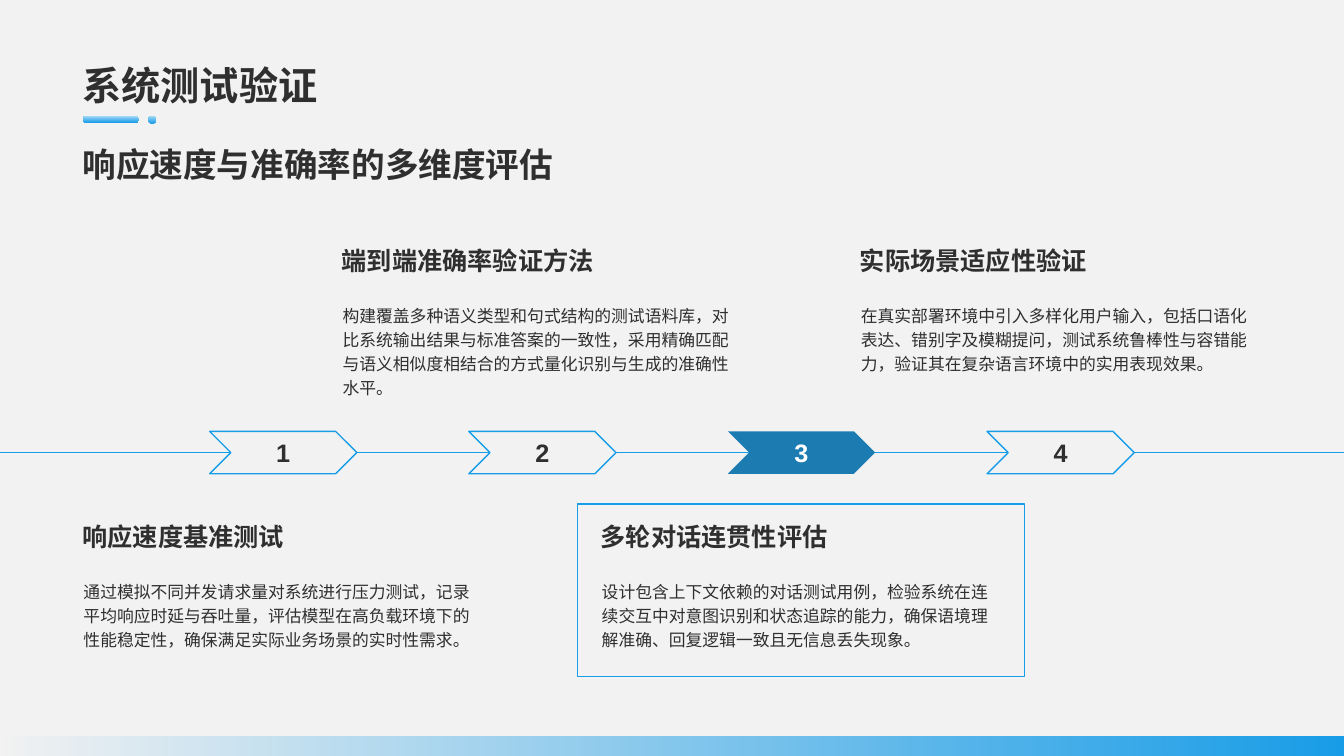
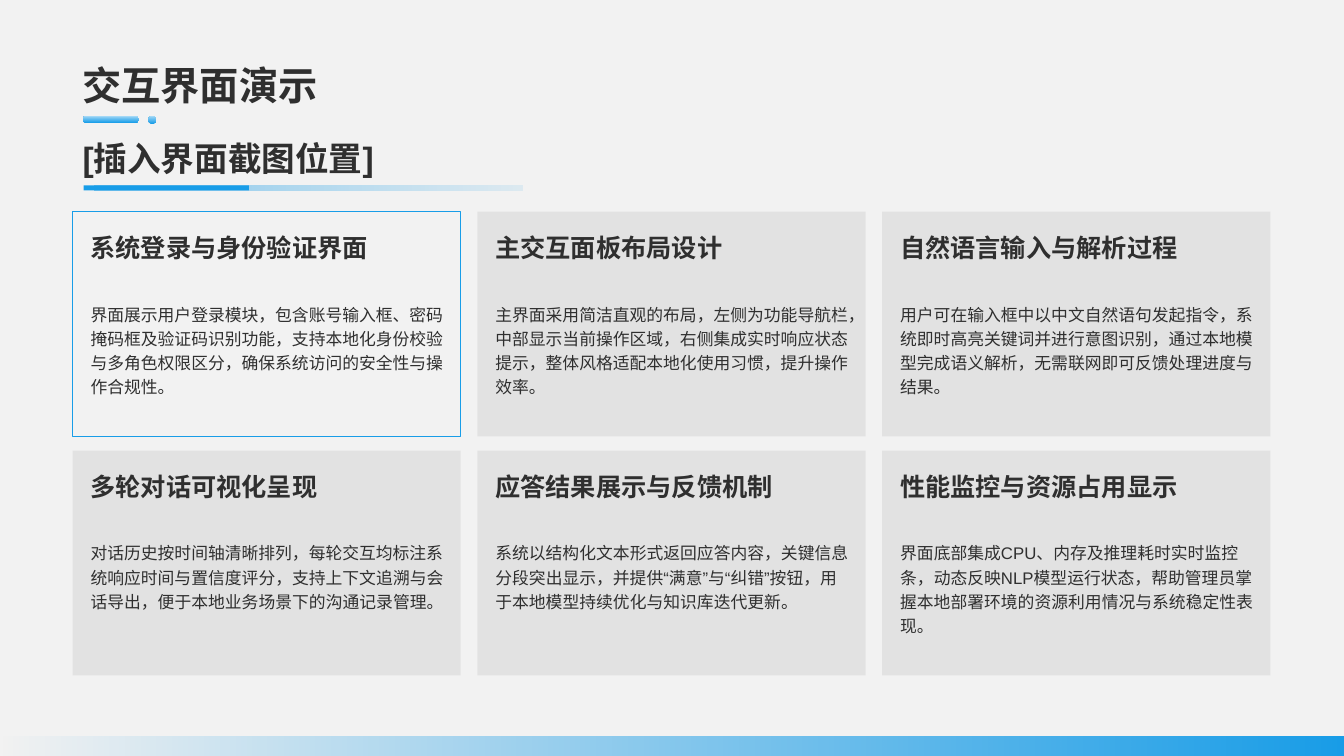
from lxml.etree import SubElement
from pptx import Presentation
from pptx.dml.color import RGBColor
from pptx.enum.lang import MSO_LANGUAGE_ID
from pptx.enum.shapes import MSO_CONNECTOR, MSO_SHAPE
from pptx.enum.text import MSO_ANCHOR, PP_ALIGN
from pptx.oxml.ns import qn
from pptx.util import Inches, Pt

THEME = {
    "font": "Arial",
    "paper": RGBColor.from_string("F2F2F2"),
    "ink": RGBColor.from_string("2F2F2F"),
    "white": RGBColor.from_string("FFFFFF"),
    "blue": RGBColor.from_string("189DE8"),
    "pale": RGBColor.from_string("A3D8F6"),
    "deep": RGBColor.from_string("1176AF"),
    "line": Pt(1),
    "title": {"size": Pt(28), "bold": True},
    "subtitle": {"size": Pt(24), "bold": True},
    "heading": {"size": Pt(18), "bold": True},
    "body": {"size": Pt(12), "bold": False},
}
BLUE = THEME["blue"]


def add_panel(page, kind, bounds, stops=(), angle=0, outline=False):
    panel = page.shapes.add_shape(kind, *map(Inches, bounds))
    panel.shadow.inherit = False
    if not stops:
        panel.fill.background()
    elif len(stops) == 1:
        panel.fill.solid()
        panel.fill.fore_color.rgb = stops[0][1]
    else:
        panel.fill.gradient()
        panel.fill.gradient_angle = angle
        for stop, (position, color, _) in zip(panel.fill.gradient_stops, stops):
            stop.position = position
            stop.color.rgb = color
    for color, (_, _, opacity) in zip(panel._element.spPr.iter(qn("a:srgbClr")), stops):
        if opacity < 100:
            SubElement(color, qn("a:alpha")).set("val", str(opacity * 1000))
    if outline:
        panel.line.color.rgb = BLUE
        panel.line.width = THEME["line"]
    else:
        panel.line.fill.background()
    return panel


def write(box, text, style, color=THEME["ink"], anchor=MSO_ANCHOR.TOP,
          align=PP_ALIGN.LEFT, spacing=1.0):
    frame = box.text_frame
    frame.word_wrap = True
    frame.vertical_anchor = anchor
    para = frame.paragraphs[0]
    para.alignment = align
    para.line_spacing = spacing
    para._p.get_or_add_pPr().set("hangingPunct", "1")
    span = para.add_run()
    span.text = text
    values = {"name": THEME["font"], "language_id": MSO_LANGUAGE_ID.SIMPLIFIED_CHINESE}
    for name, value in {**values, **THEME[style]}.items():
        setattr(span.font, name, value)
    span.font.color.rgb = color
    SubElement(span._r.get_or_add_rPr(), qn("a:ea")).set("typeface", THEME["font"])


deck = Presentation()
deck.slide_width = Inches(13.33)
deck.slide_height = Inches(7.5)

accent = [(0.02, BLUE, 100), (1, THEME["pale"], 100)]
pages = []
for title, subtitle, subtitle_height in [
    ("系统测试验证", "响应速度与准确率的多维度评估", 0.78),
    ("交互界面演示", "[插入界面截图位置]", 0.66),
]:
    page = deck.slides.add_slide(deck.slide_layouts[6])
    page.background.fill.solid()
    page.background.fill.fore_color.rgb = THEME["paper"]
    dash = add_panel(page, MSO_SHAPE.ROUNDED_RECTANGLE, (0.82, 1.15, 0.56, 0.07), accent, 90)
    dash.adjustments[0] = 0.5
    add_panel(page, MSO_SHAPE.OVAL, (1.47, 1.15, 0.08, 0.08), accent, 90)
    add_panel(page, MSO_SHAPE.RECTANGLE, (-0.04, 7.31, 13.38, 0.19),
              [(0, BLUE, 0), (1, BLUE, 100)])
    for text, style, top, height, anchor in [
        (title, "title", 0.14, 0.98, MSO_ANCHOR.BOTTOM),
        (subtitle, "subtitle", 1.24, subtitle_height, MSO_ANCHOR.MIDDLE),
    ]:
        box = page.shapes.add_textbox(*map(Inches, (0.72, top, 11.88, height)))
        write(box, text, style, anchor=anchor)
    pages.append(page)
timeline_page, cards_page = pages

steps = [
    ("响应速度基准测试",
     "通过模拟不同并发请求量对系统进行压力测试，记录平均响应时延与吞吐量，评估模型在高负载环境下的性能稳定性，确保满足实际业务场景的实时性需求。"),
    ("端到端准确率验证方法",
     "构建覆盖多种语义类型和句式结构的测试语料库，对比系统输出结果与标准答案的一致性，采用精确匹配与语义相似度相结合的方式量化识别与生成的准确性水平。"),
    ("多轮对话连贯性评估",
     "设计包含上下文依赖的对话测试用例，检验系统在连续交互中对意图识别和状态追踪的能力，确保语境理解准确、回复逻辑一致且无信息丢失现象。"),
    ("实际场景适应性验证",
     "在真实部署环境中引入多样化用户输入，包括口语化表达、错别字及模糊提问，测试系统鲁棒性与容错能力，验证其在复杂语言环境中的实用表现效果。"),
]
step_pitch, chevron_left, chevron_top = 2.57, 2.08, 4.28
chevron_width, chevron_height = 1.46, 0.42
axis = chevron_top + chevron_height / 2
active_step = 2

add_panel(timeline_page, MSO_SHAPE.RECTANGLE, (5.73, 5, 4.43, 1.71), outline=True)
chevrons = []
for index, (heading, body) in enumerate(steps):
    active = index == active_step
    chevron = add_panel(
        timeline_page, MSO_SHAPE.CHEVRON,
        (chevron_left + index * step_pitch, chevron_top, chevron_width, chevron_height),
        [(0, THEME["deep"], 95)] if active else (), outline=not active)
    write(chevron, str(index + 1), "heading", THEME["white" if active else "ink"],
          MSO_ANCHOR.MIDDLE, PP_ALIGN.CENTER)
    chevrons.append(chevron)
    left = 0.72 + index * step_pitch
    top = 2.32 if index % 2 else 5.06
    for text, style, bounds in [
        (heading, "heading", (left, top, 4.16, 0.62)),
        (body, "body", (left + 0.01, top + 0.62, 4.16, 0.97)),
    ]:
        box = timeline_page.shapes.add_textbox(*map(Inches, bounds))
        write(box, text, style, spacing=1.2)

notches = [chevron.left + Inches(chevron_height / 2) for chevron in chevrons]
for source, end in zip([None, *chevrons], [*notches, deck.slide_width]):
    start = source.left + source.width if source else 0
    link = timeline_page.shapes.add_connector(
        MSO_CONNECTOR.STRAIGHT, start, Inches(axis), end, Inches(axis))
    if source:
        link.begin_connect(source, 3)
    link.line.color.rgb = BLUE
    link.line.width = THEME["line"]
    SubElement(link._element.spPr, qn("a:effectLst"))

add_panel(cards_page, MSO_SHAPE.RECTANGLE, (0.94, 1.84, 4.24, 0.05),
          [(0, BLUE, 50), (1, BLUE, 10)])
add_panel(cards_page, MSO_SHAPE.RECTANGLE, (0.83, 1.84, 1.64, 0.05), [(0, BLUE, 100)])

cards = [
    ("系统登录与身份验证界面",
     "界面展示用户登录模块，包含账号输入框、密码掩码框及验证码识别功能，支持本地化身份校验与多角色权限区分，确保系统访问的安全性与操作合规性。"),
    ("主交互面板布局设计",
     "主界面采用简洁直观的布局，左侧为功能导航栏，中部显示当前操作区域，右侧集成实时响应状态提示，整体风格适配本地化使用习惯，提升操作效率。"),
    ("自然语言输入与解析过程",
     "用户可在输入框中以中文自然语句发起指令，系统即时高亮关键词并进行意图识别，通过本地模型完成语义解析，无需联网即可反馈处理进度与结果。"),
    ("多轮对话可视化呈现",
     "对话历史按时间轴清晰排列，每轮交互均标注系统响应时间与置信度评分，支持上下文追溯与会话导出，便于本地业务场景下的沟通记录管理。"),
    ("应答结果展示与反馈机制",
     "系统以结构化文本形式返回应答内容，关键信息分段突出显示，并提供“满意”与“纠错”按钮，用于本地模型持续优化与知识库迭代更新。"),
    ("性能监控与资源占用显示",
     "界面底部集成CPU、内存及推理耗时实时监控条，动态反映NLP模型运行状态，帮助管理员掌握本地部署环境的资源利用情况与系统稳定性表现。"),
]
columns, card_width, card_height = 3, 3.85, 2.23
column_pitch = (11.88 - card_width) / (columns - 1)
row_pitch = 2.37

for index, (heading, body) in enumerate(cards):
    row, column = divmod(index, columns)
    left = 0.72 + column * column_pitch
    top = 2.1 + row * row_pitch
    active = index == 0
    add_panel(cards_page, MSO_SHAPE.RECTANGLE, (left, top, card_width, card_height),
              () if active else [(0, THEME["ink"], 8)], outline=active)
    for text, style, offset, height in [
        (heading, "heading", 0.1, 0.73),
        (body, "body", 0.83, 1.29),
    ]:
        box = cards_page.shapes.add_textbox(
            *map(Inches, (left + 0.08, top + offset, 3.7, height)))
        write(box, text, style, spacing=1.2)

deck.save("out.pptx")
